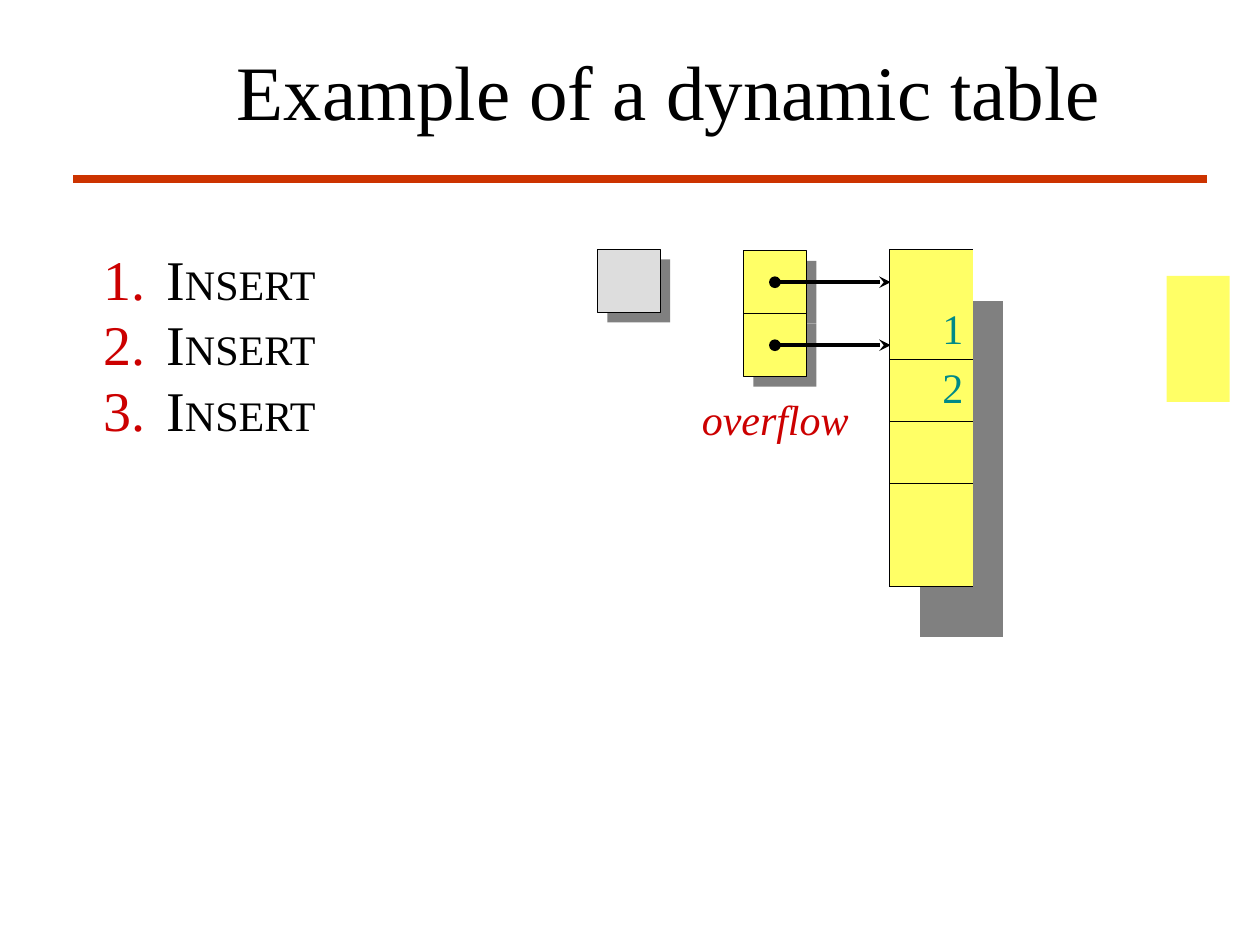
from collections import namedtuple
from dataclasses import dataclass

from lxml import etree
from pptx import Presentation
from pptx import util as u
from pptx.dml.color import RGBColor
from pptx.enum import shapes, text
from pptx.oxml.ns import qn

Box = namedtuple("Box", "left top width height")


@dataclass(frozen=True)
class Theme:
    """Colours, typeface and type sizes of the slide."""
    font: str = "Times New Roman"
    ink: str = "000000"
    rule: str = "CC3300"
    accent: str = "CC0000"
    value: str = "008A87"
    cell: str = "FFFF66"
    spare: str = "DDDDDD"
    shadow: str = "808080"
    title_size: int = 44
    list_size: int = 32
    label_size: int = 24


THEME = Theme()
CELL = 0.5
SHADOW_OFFSET = 0.08


def inches(*lengths):
    """Turn numbers into inch lengths."""
    return [u.Inches(length) for length in lengths]


def style(font, color, size, italic=None):
    """Apply the theme typeface with a colour and size."""
    font.name, font.size, font.italic = THEME.font, u.Pt(size), italic
    font.color.rgb = RGBColor.from_string(color)


def frame_in(shape, box, anchor):
    """Place a text shape in its box and return its bare text frame."""
    shape.left, shape.top, shape.width, shape.height = inches(*box)
    frame = shape.text_frame
    frame.margin_left = frame.margin_right = frame.margin_top = frame.margin_bottom = 0
    frame.word_wrap, frame.auto_size = True, text.MSO_AUTO_SIZE.NONE
    frame.vertical_anchor = anchor
    return frame


def indent(paragraph, margin, first=0):
    """Set the left margin and first-line indent in inches."""
    properties = paragraph._p.get_or_add_pPr()
    properties.set("marL", str(u.Inches(margin)))
    properties.set("indent", str(u.Inches(first)))
    return properties


def add_line(slide, start, end, color, width, arrow=False):
    """Draw a straight line, optionally with a dot and an arrowhead."""
    line = slide.shapes.add_connector(
        shapes.MSO_CONNECTOR.STRAIGHT, *inches(*start, *end))
    line.line.color.rgb = RGBColor.from_string(color)
    line.line.width = u.Pt(width)
    if arrow:
        outline = line.line._get_or_add_ln()
        etree.SubElement(outline, qn("a:headEnd"), type="oval")
        etree.SubElement(outline, qn("a:tailEnd"), type="stealth")
    etree.SubElement(line._element.spPr, qn("a:effectLst"))


def add_square(slide, left, top, fill, outlined=False):
    """Draw one memory cell."""
    square = slide.shapes.add_shape(
        shapes.MSO_SHAPE.RECTANGLE, *inches(left, top, CELL, CELL))
    square.shadow.inherit = False
    square.fill.solid()
    square.fill.fore_color.rgb = RGBColor.from_string(fill)
    if outlined:
        square.line.color.rgb = RGBColor.from_string(THEME.ink)
        square.line.width = u.Pt(0.75)
    else:
        square.line.fill.background()


def add_column(slide, left, top, count, fill):
    """Stack outlined cells, each with a drop shadow."""
    for index in range(count):
        y = top + index * CELL
        add_square(slide, left + SHADOW_OFFSET, y + SHADOW_OFFSET, THEME.shadow)
        add_square(slide, left, y, fill, outlined=True)


def add_heading(slide, box):
    """Fill the title and draw the rule below it."""
    frame = frame_in(slide.shapes.title, box, text.MSO_ANCHOR.BOTTOM)
    paragraph = frame.paragraphs[0]
    paragraph.text = "Example of a dynamic table"
    paragraph.alignment = text.PP_ALIGN.CENTER
    indent(paragraph, 0.65)
    style(paragraph.font, THEME.ink, THEME.title_size)
    add_line(slide, (0.58, 1.42), (9.58, 1.42), THEME.rule, 4.5)


def add_operations(slide, box, count):
    """Fill the body with the numbered operations."""
    frame = frame_in(slide.placeholders[1], box, text.MSO_ANCHOR.TOP)
    for index in range(count):
        paragraph = frame.add_paragraph() if index else frame.paragraphs[0]
        properties = indent(paragraph, 0.51, -0.5)
        paragraph.line_spacing, paragraph.space_before = u.Pt(37.5), u.Pt(0)
        color = etree.SubElement(properties, qn("a:buClr"))
        etree.SubElement(color, qn("a:srgbClr"), val=THEME.accent)
        etree.SubElement(properties, qn("a:buFont"), typeface=THEME.font)
        etree.SubElement(properties, qn("a:buAutoNum"), type="arabicPeriod")
        style(paragraph.font, THEME.ink, THEME.list_size)
        for letters, size in (("I", THEME.list_size), ("NSERT", THEME.label_size)):
            run = paragraph.add_run()
            run.text, run.font.size = letters, u.Pt(size)


def add_pointers(slide, box):
    """Draw the full table, its overflow label and its copying arrows."""
    add_column(slide, box.left, box.top, 2, THEME.cell)
    for index in range(2):
        y = box.top + (index + 0.5) * CELL
        add_line(slide, (box.left + CELL / 2, y), (box.left + box.width, y),
                 THEME.ink, 2.25, arrow=True)
    label = slide.shapes.add_textbox(0, 0, 0, 0)
    label_box = Box(box.left - 0.34, box.top + 1.13, 1.19, 0.4)
    paragraph = frame_in(label, label_box, text.MSO_ANCHOR.BOTTOM).paragraphs[0]
    paragraph.text = "overflow"
    indent(paragraph, 0.01)
    style(paragraph.font, THEME.accent, THEME.label_size, italic=True)


def set_borders(cell, visible):
    """Draw the visible sides of a table cell and clear the others."""
    properties = cell._tc.get_or_add_tcPr()
    for side in "LRTB":
        line = etree.SubElement(properties, qn(f"a:ln{side}"), w=str(u.Pt(0.34)))
        if side in visible:
            fill = etree.SubElement(line, qn("a:solidFill"))
            etree.SubElement(fill, qn("a:srgbClr"), val=THEME.ink)
        else:
            etree.SubElement(line, qn("a:noFill"))


def add_new_table(slide, box):
    """Build the doubled table with its shadow as rows and columns."""
    widths, heights = (0.08, 0.42, 0.08), (0.4, 0.4, 0.49, 0.49, 0.4, 0.41, 0.4)
    values = {1: "1", 2: "2"}
    last = len(heights) - 1
    ruled_tops, ruled_bottoms = (0, 2, 3, 4, last), (1, 2, 3, last - 1)
    table = slide.shapes.add_table(len(heights), len(widths), *inches(*box)).table
    table.first_row = table.horz_banding = False
    for column, width in zip(table.columns, widths):
        column.width = u.Inches(width)
    for row_index, height in enumerate(heights):
        table.rows[row_index].height = u.Inches(height)
        for column_index in range(len(widths)):
            cell = table.cell(row_index, column_index)
            front = column_index < 2 and row_index < last
            visible = "LR"[column_index] if front else ""
            if column_index < 2:
                visible += "T" if row_index in ruled_tops else ""
                visible += "B" if row_index in ruled_bottoms else ""
            set_borders(cell, visible)
            if front or (column_index and row_index):
                cell.fill.solid()
                color = THEME.cell if front else THEME.shadow
                cell.fill.fore_color.rgb = RGBColor.from_string(color)
            else:
                cell.fill.background()
            if column_index == 1 and row_index in values:
                paragraph = cell.text_frame.paragraphs[0]
                paragraph.text = values[row_index]
                indent(paragraph, 0.08)
                style(paragraph.font, THEME.value, THEME.label_size)


def main():
    """Build the slide and save it."""
    presentation = Presentation()
    presentation.slide_width, presentation.slide_height = inches(10, 7.5)
    slide = presentation.slides.add_slide(presentation.slide_layouts[1])
    add_heading(slide, Box(1.02, 0.35, 7.93, 0.73))
    add_operations(slide, Box(0.81, 1.95, 1.75, 1.56), 3)
    add_column(slide, 4.74, 1.98, 1, THEME.spare)
    add_pointers(slide, Box(5.9, 1.99, 1.17, 1))
    add_new_table(slide, Box(7.06, 1.98, 0.58, 3))
    for index in range(2):
        add_square(slide, 9.26, 2.19 + index * CELL, THEME.cell)
    presentation.save("out.pptx")


if __name__ == "__main__":
    main()
